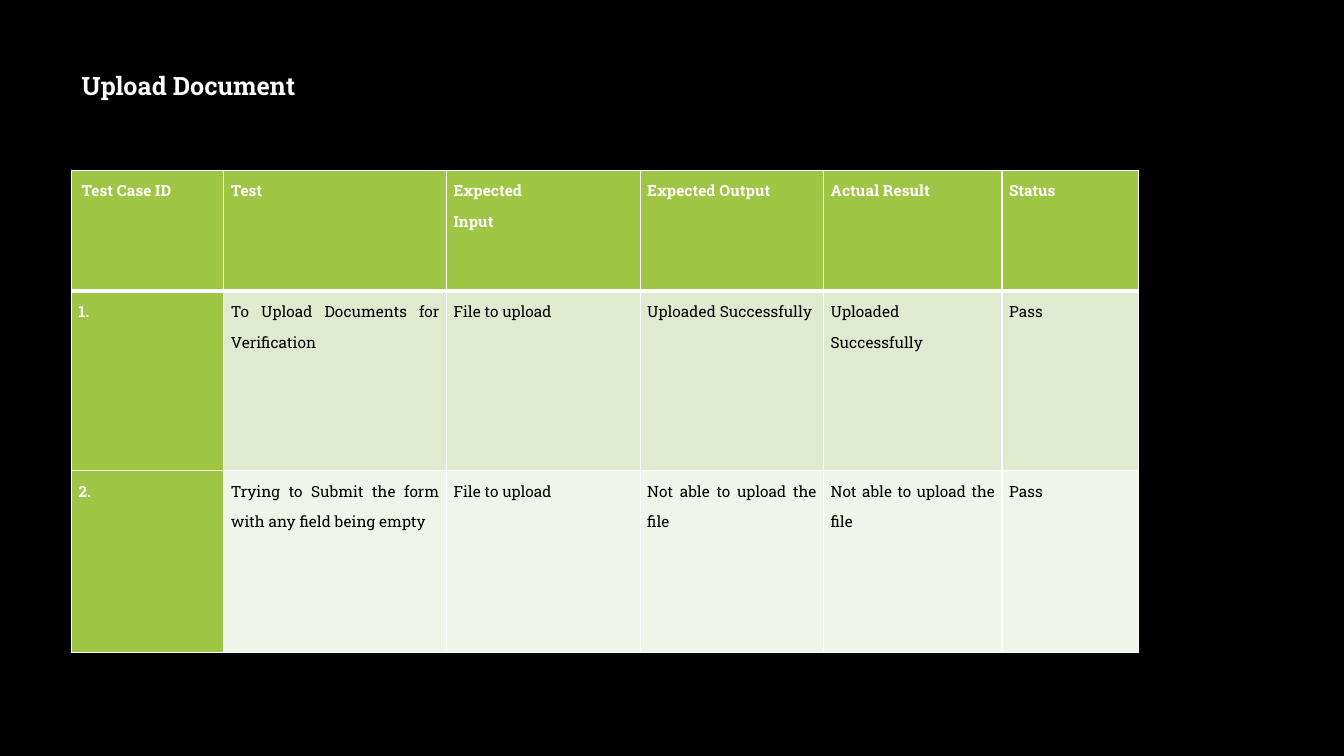
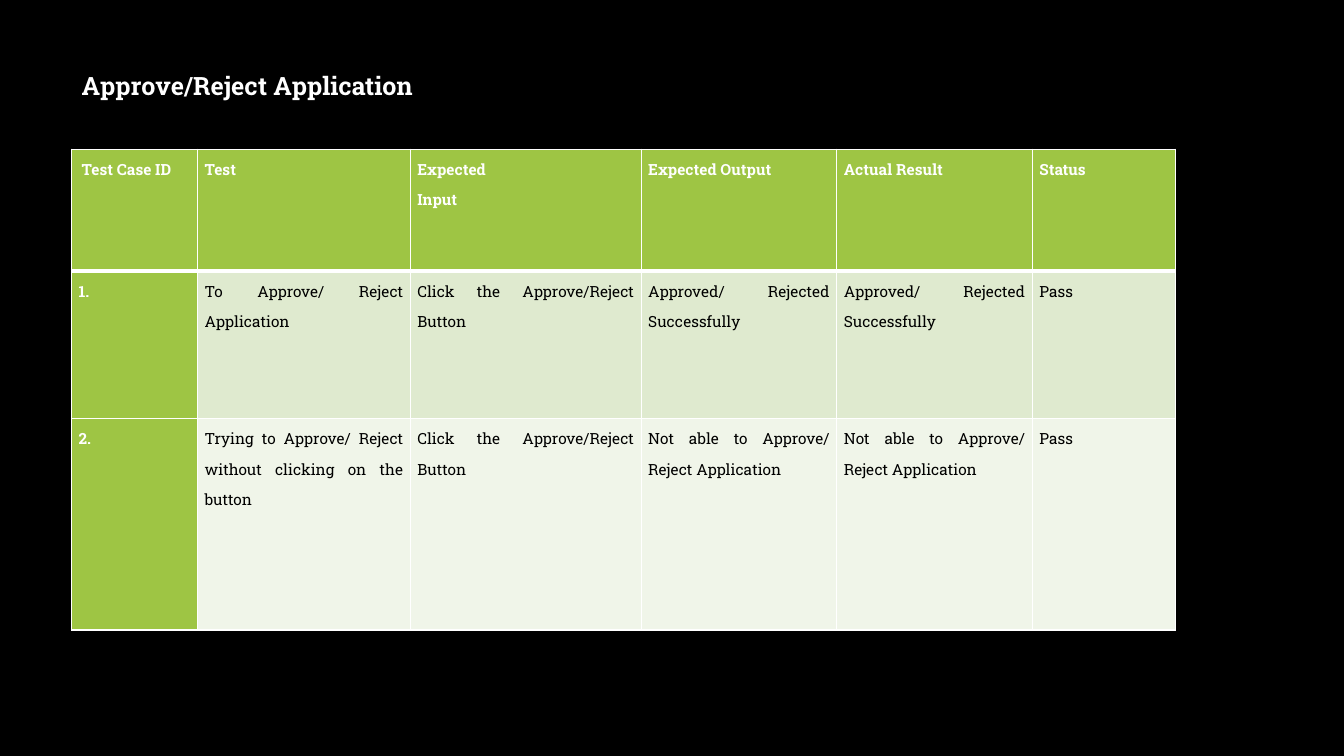
from dataclasses import dataclass

from lxml.etree import SubElement as Sub
from pptx import Presentation
from pptx.dml.color import RGBColor as Rgb
from pptx.enum.text import MSO_ANCHOR as Anchor
from pptx.enum.text import MSO_AUTO_SIZE as Auto
from pptx.enum.text import PP_ALIGN as Align
from pptx.oxml.ns import qn
from pptx.util import Emu, Pt

PX = 9144  # EMU in one px, 100 px to the inch
FONT = "Roboto Slab"
INK = {
    "back": "000000",
    "light": "FFFFFF",
    "dark": "000000",
    "green": "9EC544",
    "odd": "DFEACF",
    "even": "F0F5E9",
}
HEAD = ["Test Case ID", "Test", "Expected\nInput",
        "Expected Output", "Actual Result", "Status"]
LEFT = 71


@dataclass
class Sheet:
    title: str
    top: int
    cols: list[int]
    rows: list[int]
    cases: list[list[str]]


SHEETS = [
    Sheet("Upload Document", 169,
          [151, 221, 192, 182, 177, 135], [120, 178, 180],
          [["1.", "To Upload Documents for Verification", "File to upload",
            "Uploaded Successfully", "Uploaded Successfully", "Pass"],
           ["2.", "Trying to Submit the form with any field being empty",
            "File to upload", "Not able to upload the file",
            "Not able to upload the file", "Pass"]]),
    Sheet("Approve/Reject Application", 148,
          [125, 211, 229, 194, 194, 142], [121, 146, 210],
          [["1.", "To Approve/ Reject Application",
            "Click the Approve/Reject Button",
            "Approved/ Rejected Successfully",
            "Approved/ Rejected Successfully", "Pass"],
           ["2.", "Trying to Approve/ Reject without clicking on the button",
            "Click the Approve/Reject Button",
            "Not able to Approve/ Reject Application",
            "Not able to Approve/ Reject Application", "Pass"]]),
]


def px(num: int) -> Emu:
    return Emu(num * PX)


def color(name: str) -> Rgb:
    return Rgb.from_string(INK[name])


def style(para, size: int, ink: str, bold: bool, align: Align) -> None:
    para.alignment = align
    font = para.font
    font.name, font.size, font.bold = FONT, Pt(size), bold
    font.color.rgb = color(ink)


def edge(cell, side: str, width: int) -> None:
    line = Sub(cell._tc.get_or_add_tcPr(), qn(f"a:ln{side}"), w=str(Pt(width)))
    Sub(Sub(line, qn("a:solidFill")), qn("a:srgbClr"), val=INK["light"])


def add_title(slide, text: str) -> None:
    box = slide.shapes.title
    box.left, box.top, box.width, box.height = map(px, (LEFT, 65, 804, 40))
    frame = box.text_frame
    frame.text = text
    frame.word_wrap = True
    frame.auto_size = Auto.SHAPE_TO_FIT_TEXT
    frame.vertical_anchor = Anchor.TOP
    style(frame.paragraphs[0], 18, "light", True, Align.LEFT)


def fill_cell(cell, text: str, row: int, col: int) -> None:
    # Borders, with a heavy rule under the header
    for side in "LRTB":
        heavy = (row, side) in ((0, "B"), (1, "T"))
        edge(cell, side, 3 if heavy else 1)

    # Header row and first column share one look
    strong = row == 0 or col == 0
    cell.fill.solid()
    cell.fill.fore_color.rgb = color(
        "green" if strong else "odd" if row % 2 else "even")

    # Text, with the first header slightly indented
    cell.margin_left = px(10 if row == col == 0 else 7)
    cell.margin_right = px(7)
    cell.margin_top = cell.margin_bottom = 0
    cell.text = text
    for para in cell.text_frame.paragraphs:
        para.line_spacing = 1.5
        style(para, 11, "light" if strong else "dark", strong, Align.JUSTIFY)


def add_grid(slide, sheet: Sheet) -> None:
    cells = [HEAD, *sheet.cases]
    grid = slide.shapes.add_table(
        len(cells), len(HEAD), px(LEFT), px(sheet.top),
        px(sum(sheet.cols)), px(sum(sheet.rows))).table
    grid.horz_banding = False
    for col, width in zip(grid.columns, sheet.cols):
        col.width = px(width)
    for row, height in zip(grid.rows, sheet.rows):
        row.height = px(height)
    for r, texts in enumerate(cells):
        for c, text in enumerate(texts):
            fill_cell(grid.cell(r, c), text, r, c)


def main() -> None:
    deck = Presentation()
    deck.slide_width, deck.slide_height = px(1333), px(750)

    # Shared background
    back = deck.slide_master.background.fill
    back.solid()
    back.fore_color.rgb = color("back")

    for sheet in SHEETS:
        slide = deck.slides.add_slide(
            deck.slide_layouts.get_by_name("Title Only"))
        add_title(slide, sheet.title)
        add_grid(slide, sheet)
    deck.save("out.pptx")


if __name__ == "__main__":
    main()
